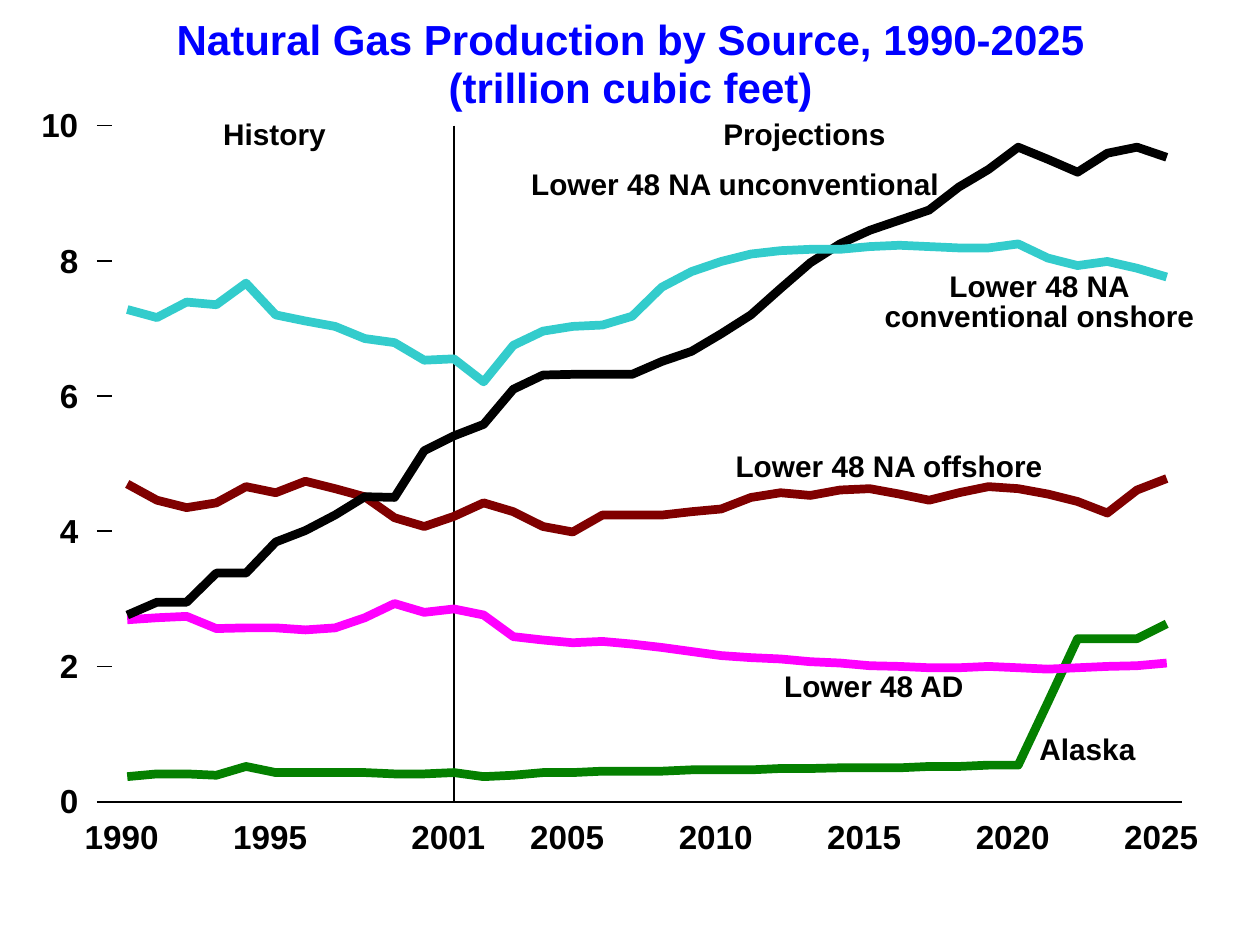
from dataclasses import dataclass

from lxml import etree
from pptx import Presentation
from pptx import util as u
from pptx.dml.color import RGBColor
from pptx.enum import shapes, text
from pptx.oxml.ns import qn

# Plot grid: one column per year, one row per trillion cubic feet.
FIRST_YEAR, LAST_YEAR, HISTORY_END = 1990, 2025, 2001
TOP_VALUE = 10
SLIDE_WIDTH, SLIDE_HEIGHT = u.Inches(10), u.Inches(7.5)
PLOT_LEFT = 0.101 * SLIDE_WIDTH
PLOT_BOTTOM = 0.8484 * SLIDE_HEIGHT
COLUMN = 0.825 * SLIDE_WIDTH / (LAST_YEAR - FIRST_YEAR)
ROW = 0.7155 * SLIDE_HEIGHT / TOP_VALUE

BLACK, BLUE = "000000", "0000FF"


@dataclass
class Series:
    color: str
    values: list[float]


@dataclass
class Label:
    """Text centred on a year; top in value units, width in years, height in rows."""
    lines: str
    year: float
    top: float
    width: float
    height: float = 0.45
    size: int = 17
    spacing: float = 0.85
    color: str = BLACK
    align: text.PP_ALIGN = text.PP_ALIGN.CENTER


ALASKA = Series("048000", [
    0.37, 0.41, 0.41, 0.39, 0.52, 0.43, 0.43, 0.43, 0.43, 0.41, 0.41, 0.43,
    0.37, 0.39, 0.43, 0.43, 0.45, 0.45, 0.45, 0.47, 0.47, 0.47, 0.49, 0.49,
    0.50, 0.50, 0.50, 0.52, 0.52, 0.54, 0.54, 1.47, 2.41, 2.41, 2.41, 2.63])
OFFSHORE = Series("800000", [
    4.70, 4.46, 4.35, 4.42, 4.66, 4.57, 4.74, 4.63, 4.51, 4.20, 4.07, 4.22,
    4.42, 4.29, 4.07, 3.99, 4.24, 4.24, 4.24, 4.29, 4.33, 4.50, 4.57, 4.53,
    4.61, 4.63, 4.55, 4.46, 4.57, 4.66, 4.63, 4.55, 4.44, 4.27, 4.61, 4.78])
ASSOCIATED = Series("FF00FF", [
    2.69, 2.72, 2.74, 2.56, 2.57, 2.57, 2.54, 2.57, 2.72, 2.93, 2.80, 2.85,
    2.76, 2.44, 2.39, 2.35, 2.37, 2.33, 2.28, 2.22, 2.16, 2.13, 2.11, 2.07,
    2.05, 2.01, 2.00, 1.98, 1.98, 2.00, 1.98, 1.96, 1.98, 2.00, 2.01, 2.05])
UNCONVENTIONAL = Series(BLACK, [
    2.76, 2.95, 2.95, 3.38, 3.38, 3.84, 4.01, 4.24, 4.51, 4.50, 5.19, 5.41,
    5.58, 6.10, 6.31, 6.32, 6.32, 6.32, 6.51, 6.66, 6.92, 7.20, 7.59, 7.97,
    8.25, 8.45, 8.60, 8.75, 9.09, 9.35, 9.68, 9.50, 9.31, 9.59, 9.68, 9.53])
ONSHORE = Series("33CCCC", [
    7.28, 7.16, 7.39, 7.35, 7.67, 7.20, 7.11, 7.03, 6.85, 6.79, 6.53, 6.55,
    6.21, 6.75, 6.96, 7.03, 7.05, 7.18, 7.61, 7.84, 7.99, 8.10, 8.15, 8.17,
    8.17, 8.21, 8.23, 8.21, 8.19, 8.19, 8.25, 8.04, 7.93, 7.99, 7.89, 7.76])

SOURCES = [ALASKA, OFFSHORE, ASSOCIATED, UNCONVENTIONAL, ONSHORE]
YEAR_TICKS = [1990, 1995, HISTORY_END, 2005, 2010, 2015, 2020, 2025]
TICK_START, AXIS_START, AXIS_END = 1988.98, 1989.49, 2025.51
VALUE_LABEL_RIGHT, DIGIT_WIDTH = 1988.35, 0.68

ANNOTATIONS = [
    Label("Lower 48 NA\nconventional onshore", 2020.72, 7.82, 10.6, height=0.9),
    Label("History", 1994.96, 10.06, 3.6),
    Label("Projections", 2012.8, 10.06, 5.6),
    Label("Lower 48 AD", 2015.14, 1.9, 6.2),
    Label("Alaska", 2022.33, 0.97, 3.4),
    Label("Lower 48 NA unconventional", 2010.47, 9.33, 13.9),
    Label("Lower 48 NA offshore", 2015.65, 5.15, 10.5),
    Label("Natural Gas Production by Source, 1990-2025\n(trillion cubic feet)",
          2006.95, 11.6, 30.8, height=1.42, size=24, spacing=0.95, color=BLUE),
]


def rgb(color: str) -> RGBColor:
    return RGBColor.from_string(color)


def x_of(year: float) -> int:
    return round(PLOT_LEFT + (year - FIRST_YEAR) * COLUMN)


def y_of(value: float) -> int:
    return round(PLOT_BOTTOM - value * ROW)


def draw_series(slide, series: Series) -> None:
    points = [(x_of(FIRST_YEAR + i), y_of(value))
              for i, value in enumerate(series.values)]
    builder = slide.shapes.build_freeform(*points[0])
    builder.add_line_segments(points[1:], close=False)
    curve = builder.convert_to_shape()
    curve.shadow.inherit = False
    curve.fill.background()
    curve.line.color.rgb = rgb(series.color)
    curve.line.width = u.Pt(5)


def draw_rule(slide, start: tuple[float, float], end: tuple[float, float]) -> None:
    """Thin black line between two (year, value) points."""
    rule = slide.shapes.add_connector(
        shapes.MSO_CONNECTOR.STRAIGHT,
        x_of(start[0]), y_of(start[1]), x_of(end[0]), y_of(end[1]))
    rule.line.color.rgb = rgb(BLACK)
    rule.line.width = u.Pt(1)
    etree.SubElement(rule._element.spPr, qn("a:effectLst"))


def draw_label(slide, label: Label) -> None:
    box = slide.shapes.add_textbox(
        x_of(label.year - label.width / 2), y_of(label.top),
        round(label.width * COLUMN), round(label.height * ROW))
    frame = box.text_frame
    frame.word_wrap = False
    frame.auto_size = text.MSO_AUTO_SIZE.SHAPE_TO_FIT_TEXT
    frame.margin_left = frame.margin_right = 0
    frame.margin_top = frame.margin_bottom = 0
    frame.text = label.lines
    for paragraph in frame.paragraphs:
        paragraph.alignment = label.align
        paragraph.line_spacing = label.spacing
        paragraph.font.name = "Arial"
        paragraph.font.size = u.Pt(label.size)
        paragraph.font.bold = True
        paragraph.font.color.rgb = rgb(label.color)


def draw_axes(slide) -> None:
    values = range(0, TOP_VALUE + 1, 2)
    for value in values:
        draw_rule(slide, (TICK_START, value), (AXIS_START, value))
    draw_rule(slide, (AXIS_START, 0), (AXIS_END, 0))
    for year in YEAR_TICKS:
        draw_label(slide, Label(str(year), year - 0.19, -0.22, 2.6,
                                height=0.6, size=19, spacing=1.0))
    for value in values:
        width = DIGIT_WIDTH * len(str(value))
        draw_label(slide, Label(str(value), VALUE_LABEL_RIGHT - width / 2,
                                value + 0.31, width, height=0.6, size=19,
                                spacing=1.0, align=text.PP_ALIGN.RIGHT))


def main() -> None:
    deck = Presentation()
    deck.slide_width, deck.slide_height = SLIDE_WIDTH, SLIDE_HEIGHT
    slide = deck.slides.add_slide(deck.slide_layouts[6])
    draw_rule(slide, (HISTORY_END, TOP_VALUE), (HISTORY_END, 0))
    for series in SOURCES:
        draw_series(slide, series)
    draw_axes(slide)
    for label in ANNOTATIONS:
        draw_label(slide, label)
    deck.save("out.pptx")


if __name__ == "__main__":
    main()
